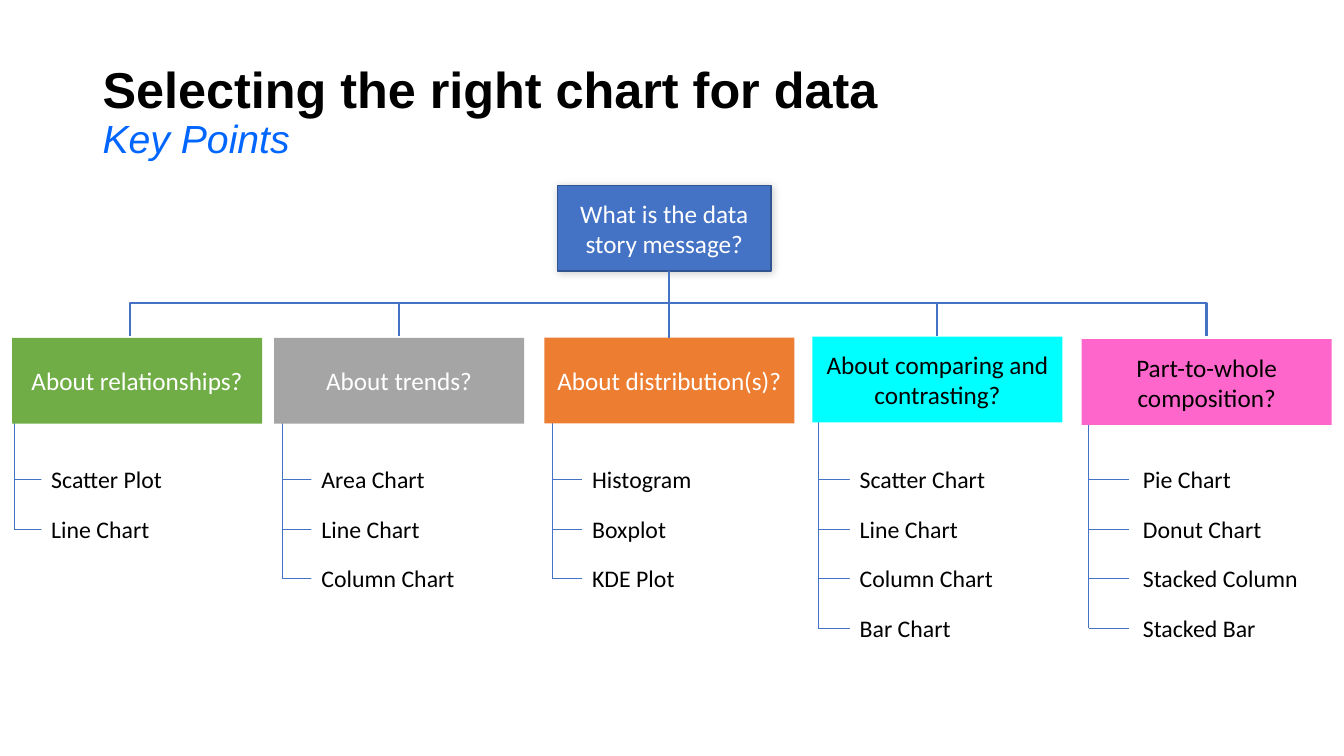
from dataclasses import dataclass

import pptx
import pptx.util
from lxml import etree
from pptx.dml.color import RGBColor
from pptx.enum.shapes import MSO_CONNECTOR, MSO_SHAPE
from pptx.enum.text import MSO_ANCHOR, PP_ALIGN
from pptx.oxml.ns import qn

Pt = pptx.util.Pt


@dataclass(frozen=True)
class Theme:
    heading_font: str = "Arial"
    body_font: str = "Calibri"
    title_size: float = 36
    subtitle_size: float = 28
    box_size: float = 18
    item_size: float = 17
    black: str = "000000"
    white: str = "FFFFFF"
    subtitle: str = "0066FF"
    blue: str = "4472C4"
    root_border: str = "325491"
    green: str = "70AD47"
    gray: str = "A5A5A5"
    orange: str = "ED7D31"
    cyan: str = "00FFFF"
    pink: str = "FF66CC"


T = Theme()

BOX_W, BOX_H = 178.6, 61.2
ROOT_BOTTOM, TRUNK_X, ARM_END = 193.7, 478.1, 239.8
ITEM_W, ITEM_H, ITEM_TOP = 125.3, 32.4, 326
TICK_TOP, TICK_W, ITEM_PITCH = 342.4, 28.6, 35.4

# question, fill, text colour, box left, box top, stem x, items left, arm x, items
BRANCHES = [
    ("About relationships?", T.green, T.white, 8.6, 241.4, 10.1, 29.5, 92.9,
     ["Scatter Plot", "Line Chart"]),
    ("About trends?", T.gray, T.white, 195.8, 241.4, 201.6, 222.5, 285.1,
     ["Area Chart", "Line Chart", "Column Chart"]),
    ("About distribution(s)?", T.orange, T.white, 388.8, 241.2, 394.6, 415.9, None,
     ["Histogram", "Boxplot", "KDE Plot"]),
    ("About comparing and contrasting?", T.cyan, T.black, 580.3, 240.5, 584.6, 607, 669.6,
     ["Scatter Chart", "Line Chart", "Column Chart", "Bar Chart"]),
    ("Part-to-whole composition?", T.pink, T.black, 772.6, 242.3, 777.6, 809.3, 861.8,
     ["Pie Chart", "Donut Chart", "Stacked Column", "Stacked Bar"]),
]


def rgb(color):
    return RGBColor.from_string(color)


def add_run(p, text, *, size, color, font=T.body_font, bold=False, italic=False):
    r = p.add_run()
    r.text = text
    r.font.name, r.font.size = font, Pt(size)
    r.font.bold, r.font.italic = bold, italic
    r.font.color.rgb = rgb(color)


def add_title(s, title, subtitle):
    sp = s.shapes.add_textbox(Pt(66.2), Pt(28.8), Pt(828), Pt(104.4))
    tf = sp.text_frame
    tf.word_wrap = True
    tf.vertical_anchor = MSO_ANCHOR.MIDDLE
    p = tf.paragraphs[0]
    p.line_spacing = 0.9
    add_run(p, title, size=T.title_size, color=T.black, font=T.heading_font, bold=True)
    p.add_line_break()
    add_run(p, subtitle, size=T.subtitle_size, color=T.subtitle,
            font=T.heading_font, italic=True)


def add_box(s, text, left, top, width, height, *, fill, color,
            size=T.box_size, align=PP_ALIGN.CENTER):
    sp = s.shapes.add_shape(MSO_SHAPE.RECTANGLE, Pt(left), Pt(top), Pt(width), Pt(height))
    sp.shadow.inherit = False
    sp.fill.solid()
    sp.fill.fore_color.rgb = rgb(fill)
    sp.line.fill.background()
    tf = sp.text_frame
    tf.word_wrap = True
    tf.vertical_anchor = MSO_ANCHOR.MIDDLE
    p = tf.paragraphs[0]
    p.alignment = align
    add_run(p, text, size=size, color=color)
    return sp


def add_root(s, text):
    sp = add_box(s, text, 398.2, 132.5, 152.6, BOX_H, fill=T.blue, color=T.white)
    sp.line.color.rgb = rgb(T.root_border)
    sp.line.width = Pt(1)
    effects = sp.element.spPr.find(qn("a:effectLst"))
    shadow = etree.SubElement(effects, qn("a:outerShdw"), blurRad=str(Pt(6)),
                              dist=str(Pt(1)), dir="2700000", rotWithShape="0")
    shade = etree.SubElement(shadow, qn("a:srgbClr"), val=T.black)
    etree.SubElement(shade, qn("a:alpha"), val="20000")


def add_line(s, x1, y1, x2, y2, width=0.5, kind=MSO_CONNECTOR.STRAIGHT):
    cn = s.shapes.add_connector(kind, Pt(x1), Pt(y1), Pt(x2), Pt(y2))
    cn.line.color.rgb = rgb(T.blue)
    cn.line.width = Pt(width)
    etree.SubElement(cn.element.spPr, qn("a:effectLst"))
    return cn


def add_arm(s, x):
    """Elbow that leaves the root downwards and drops onto a branch at x."""
    drop, reach = ARM_END - ROOT_BOTTOM, abs(x - TRUNK_X)
    left = (x + TRUNK_X - drop) / 2
    top = (ROOT_BOTTOM + ARM_END - reach) / 2
    start, end, turn = left, left + drop, 90
    if x > TRUNK_X:
        start, end, turn = end, start, 270
    cn = add_line(s, start, top, end, top + reach, 1.5, MSO_CONNECTOR.ELBOW)
    cn.element.spPr.find(qn("a:xfrm")).set("rot", str(turn * 60000))


def add_branch(s, question, fill, color, left, top, stem_x, items_left, arm_x, items):
    ticks = [TICK_TOP + i * ITEM_PITCH for i in range(len(items))]
    add_line(s, stem_x, top + BOX_H - 3, stem_x, ticks[-1])
    for y in ticks:
        add_line(s, stem_x, y, stem_x + TICK_W, y)
    box = add_box(s, question, left, top, BOX_W, BOX_H, fill=fill, color=color)
    for i, item in enumerate(items):
        add_box(s, item, items_left, ITEM_TOP + i * ITEM_PITCH, ITEM_W, ITEM_H,
                fill=T.white, color=T.black, size=T.item_size, align=PP_ALIGN.LEFT)
    if arm_x is None:
        cn = add_line(s, TRUNK_X, ROOT_BOTTOM, TRUNK_X, top, 1.5)
        cn.end_connect(box, 0)
    else:
        add_arm(s, arm_x)


def main():
    prs = pptx.Presentation()
    prs.slide_width, prs.slide_height = Pt(960), Pt(540)
    s = prs.slides.add_slide(prs.slide_layouts[6])
    add_title(s, "Selecting the right chart for data", "Key Points")
    add_root(s, "What is the data story message?")
    for branch in BRANCHES:
        add_branch(s, *branch)
    prs.save("out.pptx")


if __name__ == "__main__":
    main()
